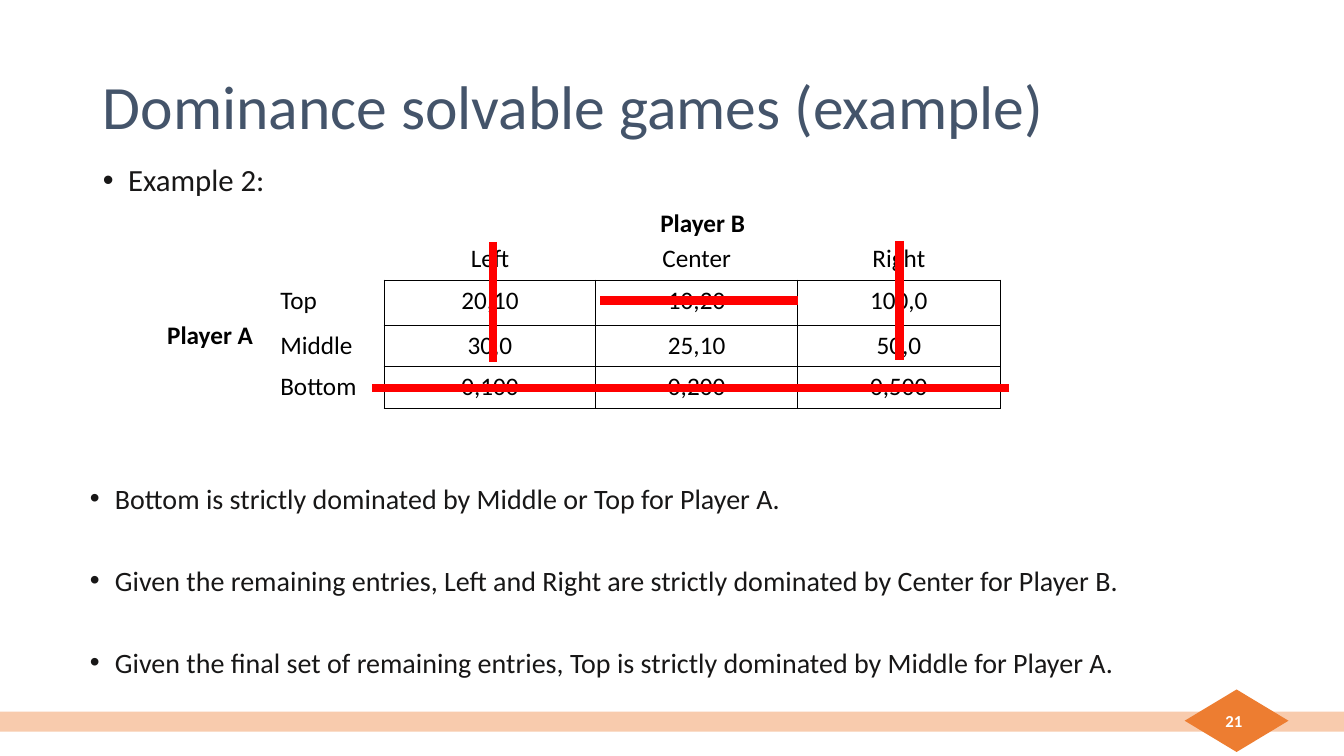
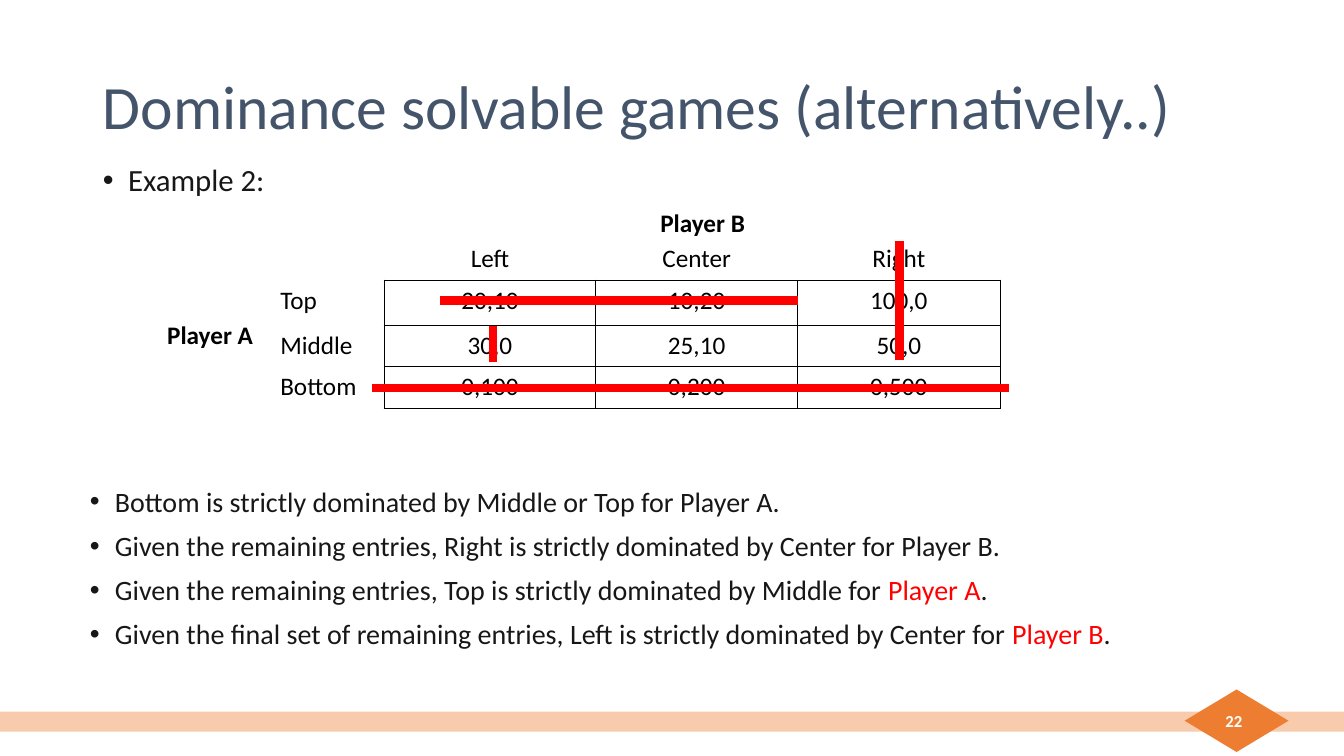
from dataclasses import dataclass
from typing import Any

from lxml import etree
from pptx import Presentation
from pptx.dml.color import RGBColor
from pptx.enum.shapes import MSO_CONNECTOR as Connector, MSO_SHAPE as Preset
from pptx.enum.text import MSO_ANCHOR as Anchor, MSO_AUTO_SIZE as AutoSize, PP_ALIGN as Align
from pptx.oxml.ns import qn
from pptx.util import Pt

EMU_PER_PX = 9144
FONT = "Calibri"
COLORS = {
    "title": "44546A",
    "body": "181717",
    "table": "000000",
    "strike": "FF0000",
    "band": "F8CBAD",
    "badge": "ED7D31",
    "number": "FFFFFF",
}


def px(length: int) -> int:
    return length * EMU_PER_PX


def rgb(color: str) -> RGBColor:
    return RGBColor.from_string(COLORS[color])


@dataclass(frozen=True)
class Box:
    left: int
    top: int
    width: int
    height: int

    def emu(self) -> tuple[int, ...]:
        return tuple(map(px, (self.left, self.top, self.width, self.height)))


@dataclass(frozen=True)
class Style:
    size: int
    color: str
    bold: bool = False


@dataclass(frozen=True)
class Phrase:
    text: str
    color: str = "body"


@dataclass(frozen=True)
class Strike:
    x1: int
    y1: int
    x2: int
    y2: int


@dataclass(frozen=True)
class GameSlide:
    title: str
    number: str
    strikes: tuple[Strike, ...]
    conclusions: tuple[tuple[Phrase, ...], ...]
    line_spacing: float
    gap: float


TITLE_STYLE = Style(44, "title")
EXAMPLE_STYLE = Style(22, "body")
CONCLUSION_STYLE = Style(20, "body")
CELL_STYLE = Style(18, "table")
PLAYER_STYLE = Style(18, "table", True)
NUMBER_STYLE = Style(12, "number", True)

PLACEHOLDER_BOXES = {
    0: Box(92, 36, 1150, 145),
    1: Box(92, 159, 1131, 112),
    2: Box(79, 479, 1131, 236),
}
BAND_SHAPES = (
    (Preset.RECTANGLE, Box(0, 706, 1334, 20), "band"),
    (Preset.DIAMOND, Box(1175, 684, 103, 62), "badge"),
)
NUMBER_BOX = Box(942, 695, 300, 40)
PLAYERS = {
    "Player B": Box(645, 201, 105, 40),
    "Player A": Box(156, 312, 106, 40),
}
TABLE_BOX = Box(268, 237, 724, 168)
COLUMN_WIDTHS = (113, 210, 200, 201)
ROW_HEIGHTS = (41, 45, 41, 41)
PAYOFFS = (
    ("", "Left", "Center", "Right"),
    ("Top", "20,10", "10,20", "100,0"),
    ("Middle", "30,0", "25,10", "50,0"),
    ("Bottom", "0,100", "0,200", "0,500"),
)

BOTTOM_STRIKE = Strike(1001, 385, 369, 385)
RIGHT_STRIKE = Strike(892, 239, 892, 357)
BOTTOM_DOMINATED = (Phrase("Bottom is strictly dominated by Middle or Top for Player A."),)

SLIDES = (
    GameSlide(
        "Dominance solvable games (example)",
        "21",
        (BOTTOM_STRIKE, Strike(489, 240, 489, 359), RIGHT_STRIKE, Strike(791, 298, 595, 298)),
        (
            BOTTOM_DOMINATED,
            (Phrase("Given the remaining entries, Left and Right are strictly dominated by Center for Player B."),),
            (Phrase("Given the final set of remaining entries, Top is strictly dominated by Middle for Player A."),),
        ),
        0.8,
        39.5,
    ),
    GameSlide(
        "Dominance solvable games (alternatively..)",
        "22",
        (BOTTOM_STRIKE, Strike(489, 323, 489, 359), RIGHT_STRIKE, Strike(791, 298, 436, 298)),
        (
            BOTTOM_DOMINATED,
            (Phrase("Given the remaining entries, Right is strictly dominated by Center for Player B."),),
            (
                Phrase("Given the remaining entries, Top is strictly dominated by Middle for "),
                Phrase("Player A", "strike"),
                Phrase("."),
            ),
            (
                Phrase("Given the final set of remaining entries, Left is strictly dominated by Center for "),
                Phrase("Player B", "strike"),
                Phrase("."),
            ),
        ),
        0.9,
        10,
    ),
)


def apply_format(target: Any, values: dict[str, Any]) -> None:
    for attribute, value in values.items():
        setattr(target, attribute, value)


def add_phrase(paragraph: Any, phrase: Phrase, style: Style) -> None:
    run = paragraph.add_run()
    run.text = phrase.text
    apply_format(run.font, {"name": FONT, "size": Pt(style.size), "bold": style.bold})
    run.font.color.rgb = rgb(phrase.color)


def write_line(frame: Any, text: str, style: Style, align: Align = Align.LEFT) -> Any:
    paragraph = frame.paragraphs[0]
    paragraph.alignment = align
    add_phrase(paragraph, Phrase(text, style.color), style)
    return paragraph


def write_bullets(frame: Any, items: tuple[tuple[Phrase, ...], ...], style: Style,
                  line_spacing: float, gap: float) -> None:
    apply_format(frame, {"auto_size": AutoSize.NONE, "vertical_anchor": Anchor.TOP, "word_wrap": True})
    for index, phrases in enumerate(items):
        paragraph = frame.add_paragraph() if index else frame.paragraphs[0]
        properties = paragraph._p.get_or_add_pPr()
        properties.set("marL", str(px(25)))
        properties.set("indent", str(-px(25)))
        etree.SubElement(properties, qn("a:buChar")).set("char", "•")
        apply_format(paragraph, {
            "alignment": Align.LEFT,
            "line_spacing": line_spacing,
            "space_before": Pt(gap if index else 0),
        })
        for phrase in phrases:
            add_phrase(paragraph, phrase, style)


def set_borders(cell: Any, visible: str) -> None:
    properties = cell._tc.get_or_add_tcPr()
    for side in "LRTB":
        border = etree.SubElement(properties, qn(f"a:ln{side}"))
        border.set("w", str(Pt(1)))
        if side in visible:
            fill = etree.SubElement(border, qn("a:solidFill"))
            etree.SubElement(fill, qn("a:srgbClr")).set("val", COLORS["table"])
        else:
            etree.SubElement(border, qn("a:noFill"))


def add_payoffs(slide: Any) -> None:
    table = slide.shapes.add_table(len(PAYOFFS), len(PAYOFFS[0]), *TABLE_BOX.emu()).table
    apply_format(table, {"first_row": False, "horz_banding": False})
    for column, width in zip(table.columns, COLUMN_WIDTHS):
        column.width = px(width)
    for row, height in zip(table.rows, ROW_HEIGHTS):
        row.height = px(height)
    for i, labels in enumerate(PAYOFFS):
        for j, label in enumerate(labels):
            cell = table.cell(i, j)
            set_borders(cell, "LRTB" if i and j else "R" if i else "B" if j else "")
            cell.fill.background()
            if label:
                write_line(cell.text_frame, label, CELL_STYLE, Align.CENTER if j else Align.LEFT)


def add_strike(slide: Any, strike: Strike) -> None:
    ends = map(px, (strike.x1, strike.y1, strike.x2, strike.y2))
    connector = slide.shapes.add_connector(Connector.STRAIGHT, *ends)
    connector.line.width = Pt(6)
    connector.line.color.rgb = rgb("strike")
    etree.SubElement(connector._element.spPr, qn("a:effectLst"))


def add_bands(slide: Any) -> None:
    for preset, box, color in BAND_SHAPES:
        band = slide.shapes.add_shape(preset, *box.emu())
        band.shadow.inherit = False
        band.fill.solid()
        band.fill.fore_color.rgb = rgb(color)
        band.line.fill.background()


def add_game(deck: Any, layout: Any, game: GameSlide) -> None:
    slide = deck.slides.add_slide(layout)
    add_bands(slide)
    title, example, conclusions = (slide.placeholders[index].text_frame for index in PLACEHOLDER_BOXES)
    apply_format(title, {"auto_size": AutoSize.NONE, "vertical_anchor": Anchor.MIDDLE, "word_wrap": True})
    write_line(title, game.title, TITLE_STYLE).line_spacing = 0.9
    write_bullets(example, ((Phrase("Example 2:"),),), EXAMPLE_STYLE, 0.9, 0)
    write_bullets(conclusions, game.conclusions, CONCLUSION_STYLE, game.line_spacing, game.gap)
    add_payoffs(slide)
    for player, box in PLAYERS.items():
        frame = slide.shapes.add_textbox(*box.emu()).text_frame
        apply_format(frame, {"word_wrap": False, "auto_size": AutoSize.SHAPE_TO_FIT_TEXT})
        write_line(frame, player, PLAYER_STYLE)
    for strike in game.strikes:
        add_strike(slide, strike)
    number = slide.shapes.add_textbox(*NUMBER_BOX.emu()).text_frame
    apply_format(number, {"word_wrap": True, "vertical_anchor": Anchor.MIDDLE})
    write_line(number, game.number, NUMBER_STYLE, Align.RIGHT)


def main() -> None:
    deck = Presentation()
    apply_format(deck, {"slide_width": px(1333), "slide_height": px(750)})
    layout = deck.slide_layouts.get_by_name("Two Content")
    for placeholder in layout.placeholders:
        box = PLACEHOLDER_BOXES.get(placeholder.placeholder_format.idx)
        if box:
            apply_format(placeholder, dict(zip(("left", "top", "width", "height"), box.emu())))
    for game in SLIDES:
        add_game(deck, layout, game)
    deck.save("out.pptx")


if __name__ == "__main__":
    main()
